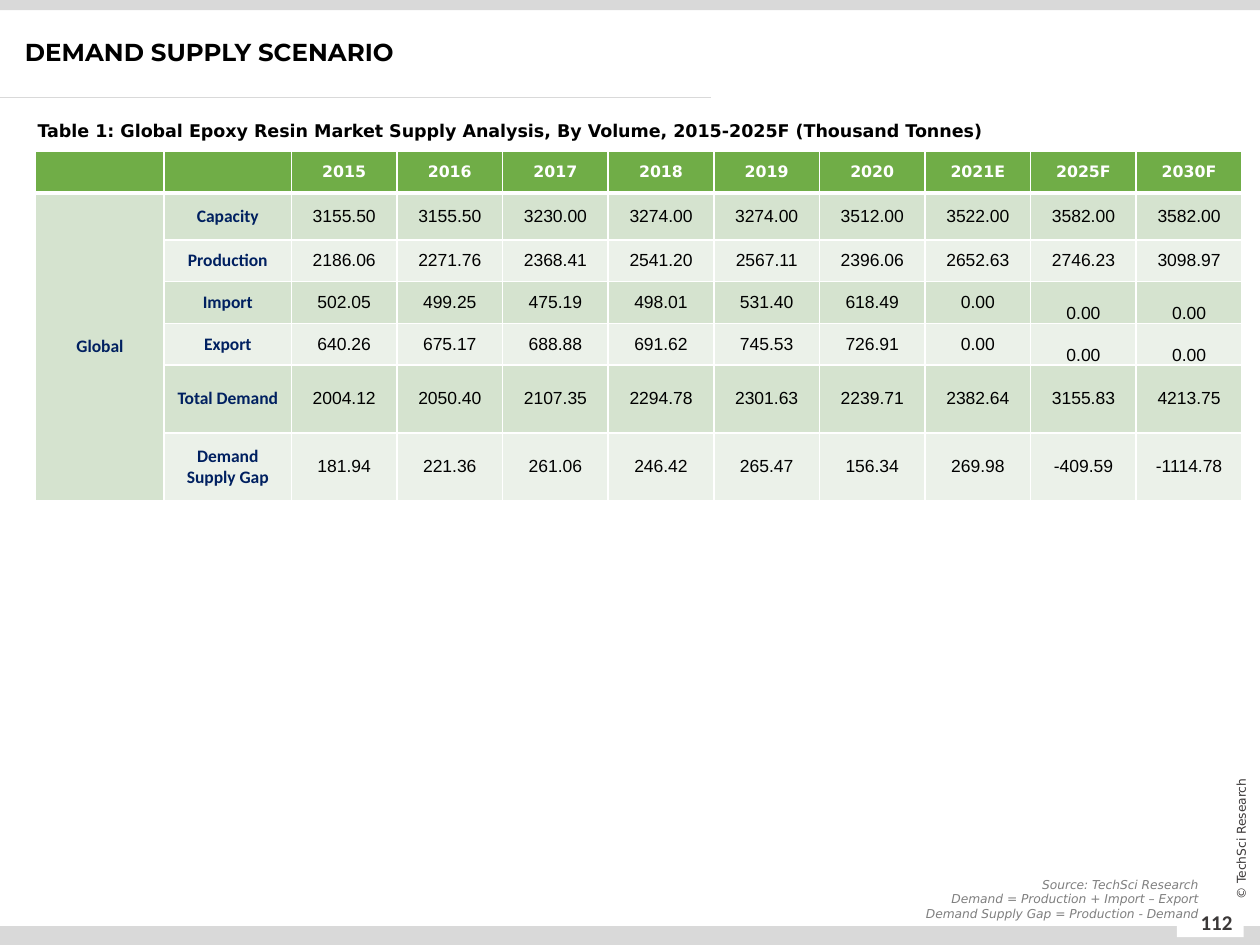
"""Build the demand and supply slide for the epoxy resin market."""
from dataclasses import dataclass

from lxml import etree
from pptx import Presentation
from pptx import util as u
from pptx.dml.color import RGBColor
from pptx.enum import shapes, text
from pptx.oxml import ns

BLACK, WHITE, GREY, DARK, NAVY = "000000", "FFFFFF", "D9D9D9", "3B3838", "002060"
GREEN, BAND_DARK, BAND_LIGHT = "70AD47", "D5E3CF", "EBF1E9"
SANS = "DejaVu Sans"
LEFT, CENTER, RIGHT = text.PP_ALIGN.LEFT, text.PP_ALIGN.CENTER, text.PP_ALIGN.RIGHT
TOP, MIDDLE, BOTTOM = text.MSO_ANCHOR.TOP, text.MSO_ANCHOR.MIDDLE, text.MSO_ANCHOR.BOTTOM


@dataclass(frozen=True)
class Style:
    font: str
    size: float
    color: str
    bold: bool = False
    italic: bool = False


@dataclass(frozen=True)
class Bar:
    left: float
    top: float
    width: float
    height: float
    color: str


@dataclass(frozen=True)
class Label:
    left: float
    top: float
    width: float
    height: float
    lines: tuple[str, ...]
    style: Style
    align: text.PP_ALIGN = LEFT
    anchor: text.MSO_ANCHOR = MIDDLE
    spacing: float | u.Length | None = None
    rotation: float = 0
    grow: bool = False


@dataclass(frozen=True)
class Measure:
    name: str
    height: float
    values: str
    bottom_from: int = 99


HEADER = Style(SANS, 9, WHITE, bold=True)
NAME = Style("Calibri", 10, NAVY, bold=True)
VALUE = Style("Arial", 10, BLACK)

BARS = (
    Bar(0, 529.2, 720, 10.8, GREY),
    Bar(672.5, 519.8, 38.2, 15.8, WHITE),
    Bar(0, 0, 720, 5.8, GREY),
)
FRAME_LABELS = (
    Label(677.5, 512.6, 35.3, 28.8, ("112",), Style("Calibri", 12, DARK, bold=True), CENTER),
    Label(666, 473.8, 86.4, 11.5, ("© TechSci Research",), Style(SANS, 7, DARK), CENTER,
          rotation=270),
    Label(7.2, 17.3, 702.7, 23.8, ("DEMAND SUPPLY SCENARIO",),
          Style("Montserrat", 14, BLACK, bold=True), spacing=u.Pt(17), grow=True),
)
TABLE_LABELS = (
    Label(14.4, 59, 691.2, 23,
          ("Table 1: Global Epoxy Resin Market Supply Analysis, By Volume, "
           "2015-2025F (Thousand Tonnes)",),
          Style(SANS, 10, BLACK, bold=True), anchor=TOP, spacing=1.5, grow=True),
    Label(512.6, 497.5, 179.3, 32.4,
          ("Source: TechSci Research", "Demand = Production + Import – Export",
           "Demand Supply Gap = Production - Demand"),
          Style(SANS, 7, "7F7F7F", italic=True), RIGHT, TOP, grow=True),
)

YEARS = "2015 2016 2017 2018 2019 2020 2021E 2025F 2030F".split()
MEASURES = (
    Measure("Capacity", 27,
            "3155.50 3155.50 3230.00 3274.00 3274.00 3512.00 3522.00 3582.00 3582.00"),
    Measure("Production", 23.8,
            "2186.06 2271.76 2368.41 2541.20 2567.11 2396.06 2652.63 2746.23 3098.97"),
    Measure("Import", 23.8, "502.05 499.25 475.19 498.01 531.40 618.49 0.00 0.00 0.00", 7),
    Measure("Export", 23.8, "640.26 675.17 688.88 691.62 745.53 726.91 0.00 0.00 0.00", 7),
    Measure("Total Demand", 38.8,
            "2004.12 2050.40 2107.35 2294.78 2301.63 2239.71 2382.64 3155.83 4213.75"),
    Measure("Demand Supply Gap", 38.8,
            "181.94 221.36 261.06 246.42 265.47 156.34 269.98 -409.59 -1114.78"),
)
HEADER_HEIGHT = 23.8
COLUMN_WIDTHS = [73.4, 72.7] + [60.36] * len(YEARS)


def rgb(color: str) -> RGBColor:
    return RGBColor.from_string(color)


def write(paragraph, words: str, style: Style, align: text.PP_ALIGN) -> None:
    paragraph.text = words
    paragraph.alignment = align
    font = paragraph.font
    font.name, font.size = style.font, u.Pt(style.size)
    font.bold, font.italic = style.bold, style.italic
    font.color.rgb = rgb(style.color)


def draw_bar(slide, bar: Bar) -> None:
    strip = slide.shapes.add_shape(
        shapes.MSO_SHAPE.RECTANGLE, *map(u.Pt, (bar.left, bar.top, bar.width, bar.height)))
    strip.shadow.inherit = False
    strip.fill.solid()
    strip.fill.fore_color.rgb = rgb(bar.color)
    strip.line.fill.background()


def draw_rule(slide) -> None:
    rule = slide.shapes.add_connector(
        shapes.MSO_CONNECTOR.STRAIGHT, *map(u.Pt, (0, 55.5, 406.5, 55.5)))
    rule.line.color.rgb = rgb(GREY)
    rule.line.width = u.Pt(0.5)
    etree.SubElement(rule._element.spPr, ns.qn("a:effectLst"))


def draw_label(slide, label: Label) -> None:
    box = slide.shapes.add_textbox(
        *map(u.Pt, (label.left, label.top, label.width, label.height)))
    box.rotation = label.rotation
    frame = box.text_frame
    frame.word_wrap = True
    frame.vertical_anchor = label.anchor
    if label.grow:
        frame.auto_size = text.MSO_AUTO_SIZE.SHAPE_TO_FIT_TEXT
    for index, line in enumerate(label.lines):
        paragraph = frame.add_paragraph() if index else frame.paragraphs[0]
        write(paragraph, line, label.style, label.align)
        paragraph.line_spacing = label.spacing


def set_borders(cell, bottom: float) -> None:
    properties = cell._tc.get_or_add_tcPr()
    for index, (side, width) in enumerate(zip("LRTB", (1, 1, 1, bottom))):
        border = etree.Element(ns.qn(f"a:ln{side}"), w=str(u.Pt(width)))
        fill = etree.SubElement(border, ns.qn("a:solidFill"))
        etree.SubElement(fill, ns.qn("a:srgbClr"), val=WHITE)
        properties.insert(index, border)


def fill_cell(cell, words: str, style: Style, fill: str, bottom: float = 1,
              anchor: text.MSO_ANCHOR = MIDDLE) -> None:
    cell.fill.solid()
    cell.fill.fore_color.rgb = rgb(fill)
    set_borders(cell, bottom)
    cell.vertical_anchor = anchor
    if style is not NAME:
        cell.margin_left = cell.margin_right = cell.margin_top = cell.margin_bottom = 0
    write(cell.text_frame.paragraphs[0], words, style, CENTER)


def draw_supply_table(slide) -> None:
    heights = [HEADER_HEIGHT] + [measure.height for measure in MEASURES]
    supply = slide.shapes.add_table(
        len(heights), len(COLUMN_WIDTHS),
        *map(u.Pt, (20.4, 86.4, sum(COLUMN_WIDTHS), sum(heights)))).table
    for column, width in zip(supply.columns, COLUMN_WIDTHS):
        column.width = u.Pt(width)
    for row, height in zip(supply.rows, heights):
        row.height = u.Pt(height)
    for column, heading in enumerate(["", ""] + YEARS):
        fill_cell(supply.cell(0, column), heading, HEADER, GREEN, bottom=3)
    for row, measure in enumerate(MEASURES, 1):
        band = BAND_DARK if row % 2 else BAND_LIGHT
        fill_cell(supply.cell(row, 0), "Global" if row == 1 else "", NAME, BAND_DARK)
        fill_cell(supply.cell(row, 1), measure.name, NAME, band)
        for index, value in enumerate(measure.values.split()):
            anchor = BOTTOM if index >= measure.bottom_from else MIDDLE
            fill_cell(supply.cell(row, index + 2), value, VALUE, band, anchor=anchor)
    supply.cell(1, 0).merge(supply.cell(len(MEASURES), 0))


def main() -> None:
    deck = Presentation()
    deck.slide_width, deck.slide_height = u.Pt(720), u.Pt(540)
    slide = deck.slides.add_slide(deck.slide_layouts[6])
    for bar in BARS:
        draw_bar(slide, bar)
    draw_rule(slide)
    for label in FRAME_LABELS:
        draw_label(slide, label)
    draw_supply_table(slide)
    for label in TABLE_LABELS:
        draw_label(slide, label)
    deck.save("out.pptx")


if __name__ == "__main__":
    main()
